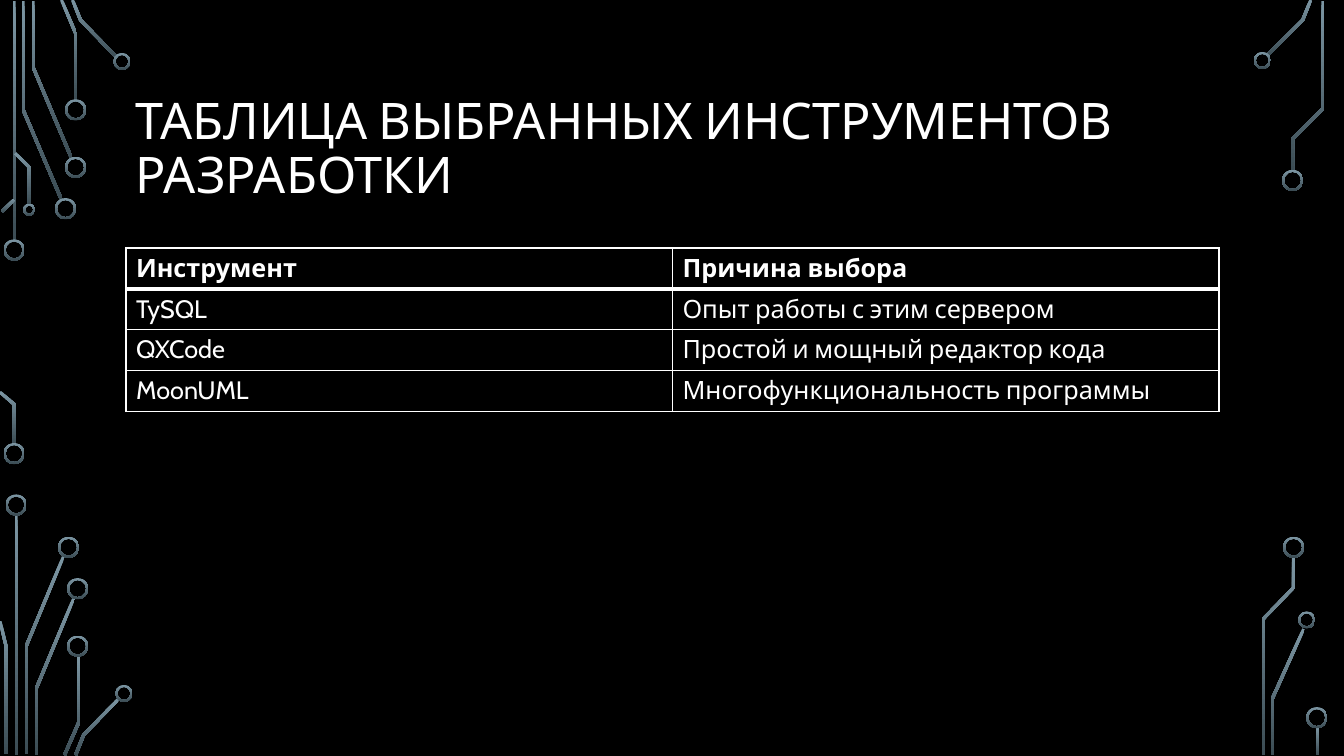
from math import hypot
from pptx import Presentation
from pptx.dml.color import RGBColor as RGB
from pptx.enum.shapes import MSO_SHAPE as Kind
from pptx.enum.text import MSO_ANCHOR as Anchor
from pptx.oxml import parse_xml
from pptx.oxml.ns import nsdecls
from pptx.util import Inches, Pt

WHITE = RGB(0xFF, 0xFF, 0xFF)
BLACK = RGB(0, 0, 0)
LIGHT = RGB(0x7C, 0x96, 0xA3)
DARK = RGB(0x3B, 0x4C, 0x54)
FONT = "Cabin"
WIDE = 0.03
RIM = 0.02

TITLE = "ТАБЛИЦА ВЫБРАННЫХ ИНСТРУМЕНТОВ РАЗРАБОТКИ"
ROWS = [
    ("Инструмент", "Причина выбора"),
    ("TySQL", "Опыт работы с этим сервером"),
    ("QXCode", "Простой и мощный редактор кода"),
    ("MoonUML", "Многофункциональность программы"),
]
TRACES = [
    [(0.14, 0.01), (0.14, 2.4)],
    [(0.23, 0.01), (0.23, 1.09), (0.61, 1.98)],
    [(0.33, 0.01), (0.33, 0.67), (0.71, 1.57)],
    [(0.61, 0), (0.75, 0.33), (0.75, 1)],
    [(0.72, 0), (0.8, 0.2), (1.16, 0.57)],
    [(0.02, 2.1), (0.14, 1.98)],
    [(0, 3.89), (0.14, 4.01), (0.14, 4.41)],
    [(0.15, 1.52), (0.29, 1.66), (0.29, 2.03)],
    [(0.16, 5.1), (0.16, 7.49)],
    [(0.26, 7.48), (0.26, 6.41), (0.63, 5.52)],
    [(0.06, 7.48), (0.06, 6.41), (0, 6.16)],
    [(0.36, 7.49), (0.36, 6.83), (0.73, 5.94)],
    [(0.64, 7.49), (0.78, 7.17), (0.78, 6.5)],
    [(0.75, 7.49), (0.83, 7.29), (1.18, 6.93)],
    [(12.57, 0.55), (12.92, 0.2), (13, 0)],
    [(12.62, 7.49), (12.62, 6.93), (12.93, 6.24)],
    [(12.82, 1.69), (12.82, 1.38), (13.12, 1.08), (13.12, 0.01)],
    [(12.53, 7.49), (12.53, 6.14), (12.83, 5.83), (12.83, 5.52)],
    [(13.07, 7.21), (13.07, 7.49)],
]
RINGS = {
    0.21: [(0.14, 2.48), (0.14, 4.5), (0.65, 2.07), (0.75, 1.66),
           (0.75, 1.09), (0.16, 5.01), (0.68, 5.43), (0.77, 5.84),
           (0.77, 6.41), (12.82, 1.79), (12.83, 5.43), (13.06, 7.12)],
    0.17: [(1.21, 0.61), (1.23, 6.88), (12.52, 0.6), (12.96, 6.15)],
    0.12: [(0.29, 2.08)],
}


def paint(part):
    part.shadow.inherit = False
    part.line.fill.background()
    part.fill.gradient()
    part.fill.gradient_angle = 270
    for stop, tint in zip(part.fill.gradient_stops, (LIGHT, DARK)):
        stop.color.rgb = tint


def edges(pts):
    norms = []
    for (x, y), (u, v) in zip(pts, pts[1:]):
        span = hypot(u - x, v - y)
        norms.append(((y - v) / span, (u - x) / span))
    left, right = [], []
    for (x, y), (a, b), (c, d) in zip(pts, norms[:1] + norms, norms + norms[-1:]):
        k = WIDE / 2 / (1 + a * c + b * d)
        dx, dy = (a + c) * k, (b + d) * k
        left.append((Inches(x + dx), Inches(y + dy)))
        right.append((Inches(x - dx), Inches(y - dy)))
    return left + right[::-1]


def write(para, text, size, bold=False):
    run = para.add_run()
    run.text = text
    font = run.font
    font.name, font.size, font.bold = FONT, Pt(size), bold
    font.color.rgb = WHITE


def border(cell, sides):
    prop = cell._tc.get_or_add_tcPr()
    for i, (side, width) in enumerate(sides.items()):
        prop.insert(i, parse_xml(
            f'<a:ln{side} {nsdecls("a")} w="{Pt(width)}"><a:solidFill>'
            f'<a:srgbClr val="{WHITE}"/></a:solidFill></a:ln{side}>'))


deck = Presentation()
deck.slide_width, deck.slide_height = Inches(13.33), Inches(7.5)
slide = deck.slides.add_slide(deck.slide_layouts[6])
back = slide.background.fill
back.solid()
back.fore_color.rgb = BLACK
shapes = slide.shapes

for trace in TRACES:
    first, *rest = edges(trace)
    pen = shapes.build_freeform(*first)
    pen.add_line_segments(rest, close=True)
    paint(pen.convert_to_shape())

for size, spots in RINGS.items():
    for x, y in spots:
        ring = shapes.add_shape(Kind.DONUT, Inches(x - size / 2),
                                Inches(y - size / 2), Inches(size), Inches(size))
        ring.adjustments[0] = RIM / size
        paint(ring)

frame = shapes.add_textbox(Inches(1.25), Inches(0.68),
                           Inches(10.83), Inches(1.62)).text_frame
frame.word_wrap = True
frame.vertical_anchor = Anchor.MIDDLE
head = frame.paragraphs[0]
head.line_spacing = 0.9
write(head, TITLE, 36)

table = shapes.add_table(len(ROWS), 2, Inches(1.25), Inches(2.46),
                         Inches(10.84), Inches(1.62)).table
table.horz_banding = False
for r, row in enumerate(ROWS):
    for c, text in enumerate(row):
        cell = table.cell(r, c)
        cell.fill.background()
        write(cell.text_frame.paragraphs[0], text, 18, r == 0)
        border(cell, {"L": 1, "R": 1, "T": 3 if r == 1 else 1,
                      "B": 3 if r == 0 else 1})

deck.save("out.pptx")
